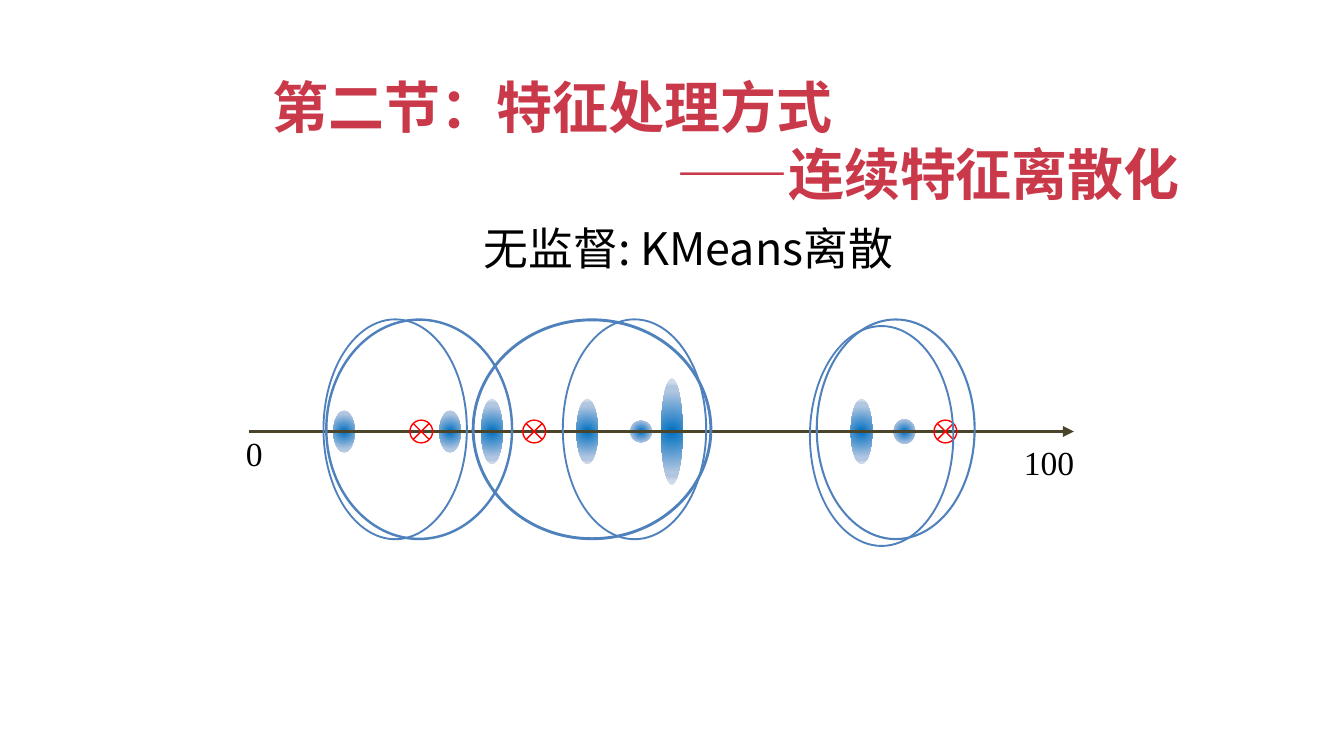
from lxml import etree
from pptx import Presentation
from pptx.dml.color import RGBColor
from pptx.enum.shapes import MSO_CONNECTOR, MSO_SHAPE
from pptx.enum.text import MSO_ANCHOR, MSO_AUTO_SIZE, PP_ALIGN
from pptx.oxml.ns import qn
from pptx.util import Pt

COLORS = {"title": "C9394A", "text": "000000", "axis": "4A452A",
          "centroid": "FF0000", "cluster": "4F81BD"}
DOT_STOPS = {0: "0070C0", 74: "B0C6E1", 83: "B0C6E1", 90: "D1DAE9", 100: "CAD9EB"}
CJK, SERIF = "Noto Sans CJK SC", "Times New Roman"
AXIS_Y = 231.2


def color(key):
    return RGBColor.from_string(COLORS[key])


def write(box, lines, font, size, key, bold=False, spacing=None, wrap=True):
    frame = box.text_frame
    settings = {"word_wrap": wrap, "auto_size": MSO_AUTO_SIZE.NONE,
                "vertical_anchor": MSO_ANCHOR.TOP,
                "margin_top": Pt(7 if spacing else 3.6)}
    for name, value in settings.items():
        setattr(frame, name, value)
    for index, (line, indent) in enumerate(lines):
        paragraph = frame.paragraphs[0] if index == 0 else frame.add_paragraph()
        layout = {"alignment": PP_ALIGN.LEFT, "line_spacing": spacing,
                  "space_before": Pt(0)}
        for name, value in layout.items():
            setattr(paragraph, name, value)
        paragraph._p.get_or_add_pPr().set("marL", str(Pt(indent)))
        run = paragraph.add_run()
        run.text = line
        for name, value in {"name": font, "size": Pt(size), "bold": bold}.items():
            setattr(run.font, name, value)
        run.font.color.rgb = color(key)
        etree.SubElement(run._r.get_or_add_rPr(), qn("a:ea")).set("typeface", font)


deck = Presentation()
deck.slide_width, deck.slide_height = Pt(720), Pt(405)
slide = deck.slides.add_slide(deck.slide_layouts[5])
shapes = slide.shapes

heading = shapes.title
for side, length in {"left": 139, "top": 32.4, "width": 509.8, "height": 80}.items():
    setattr(heading, side, Pt(length))
write(heading, [("第二节：特征处理方式", 0), ("——连续特征离散化", 216)],
      CJK, 30, "title", bold=True, spacing=Pt(35.7))

method = shapes.add_textbox(Pt(252), Pt(112.3), Pt(241.2), Pt(36))
write(method, [("无监督: KMeans离散", 0)], CJK, 24, "text", spacing=Pt(28))

DOT_WIDTH = 11.5
for left, height in [(178.6, 22.3), (235.4, 22.3), (257.8, 34.9), (308.9, 34.9),
                     (337.7, 11.5), (354.2, 56.9), (455.8, 34.9), (478.8, 13)]:
    dot = shapes.add_shape(MSO_SHAPE.OVAL, Pt(left), Pt(AXIS_Y - height / 2),
                           Pt(DOT_WIDTH), Pt(height))
    dot.shadow.inherit = False
    dot.line.fill.background()
    gradient = etree.Element(qn("a:gradFill"), rotWithShape="1")
    stops = etree.SubElement(gradient, qn("a:gsLst"))
    for position, tint in DOT_STOPS.items():
        stop = etree.SubElement(stops, qn("a:gs"), pos=str(position * 1000))
        etree.SubElement(stop, qn("a:srgbClr"), val=tint)
    circle = etree.SubElement(gradient, qn("a:path"))
    circle.set("path", "circle")
    etree.SubElement(circle, qn("a:fillToRect"), l="50000", t="50000", r="50000", b="50000")
    dot._element.spPr.find(qn("a:prstGeom")).addnext(gradient)

for value, left, top, width in [("0", 124.6, 228.2, 23.8), ("100", 541.4, 233.3, 41.8)]:
    limit = shapes.add_textbox(Pt(left), Pt(top), Pt(width), Pt(28.8))
    write(limit, [(value, 0)], SERIF, 18, "text", wrap=False)

axis = shapes.add_connector(MSO_CONNECTOR.STRAIGHT, Pt(133.2), Pt(AXIS_Y),
                            Pt(575.3), Pt(AXIS_Y))
axis.line.color.rgb = color("axis")
axis.line.width = Pt(1.5)
etree.SubElement(axis.line._get_or_add_ln(), qn("a:tailEnd"), type="triangle")
etree.SubElement(axis._element.spPr, qn("a:effectLst"))

CENTROID_SIZE = 12.2
for left in (219.6, 500.4, 280.1):
    centroid = shapes.add_shape(MSO_SHAPE.FLOWCHART_SUMMING_JUNCTION, Pt(left),
                                Pt(AXIS_Y - CENTROID_SIZE / 2),
                                Pt(CENTROID_SIZE), Pt(CENTROID_SIZE))
    centroid.shadow.inherit = False
    centroid.fill.background()
    centroid.line.color.rgb = color("centroid")
    centroid.line.width = Pt(0.75)

for left, top, width in [(252.7, 170.6, 128.9), (437, 170.6, 85.7), (172.8, 170.6, 77.8),
                         (174.2, 170.6, 100.8), (433.4, 174.2, 77.8), (301, 170.6, 77.8)]:
    cluster = shapes.add_shape(MSO_SHAPE.DONUT, Pt(left), Pt(top), Pt(width), Pt(118.8))
    cluster.shadow.inherit = False
    cluster.adjustments[0] = 0.013
    cluster.fill.solid()
    cluster.fill.fore_color.rgb = color("cluster")
    cluster.line.fill.background()

deck.save("out.pptx")
